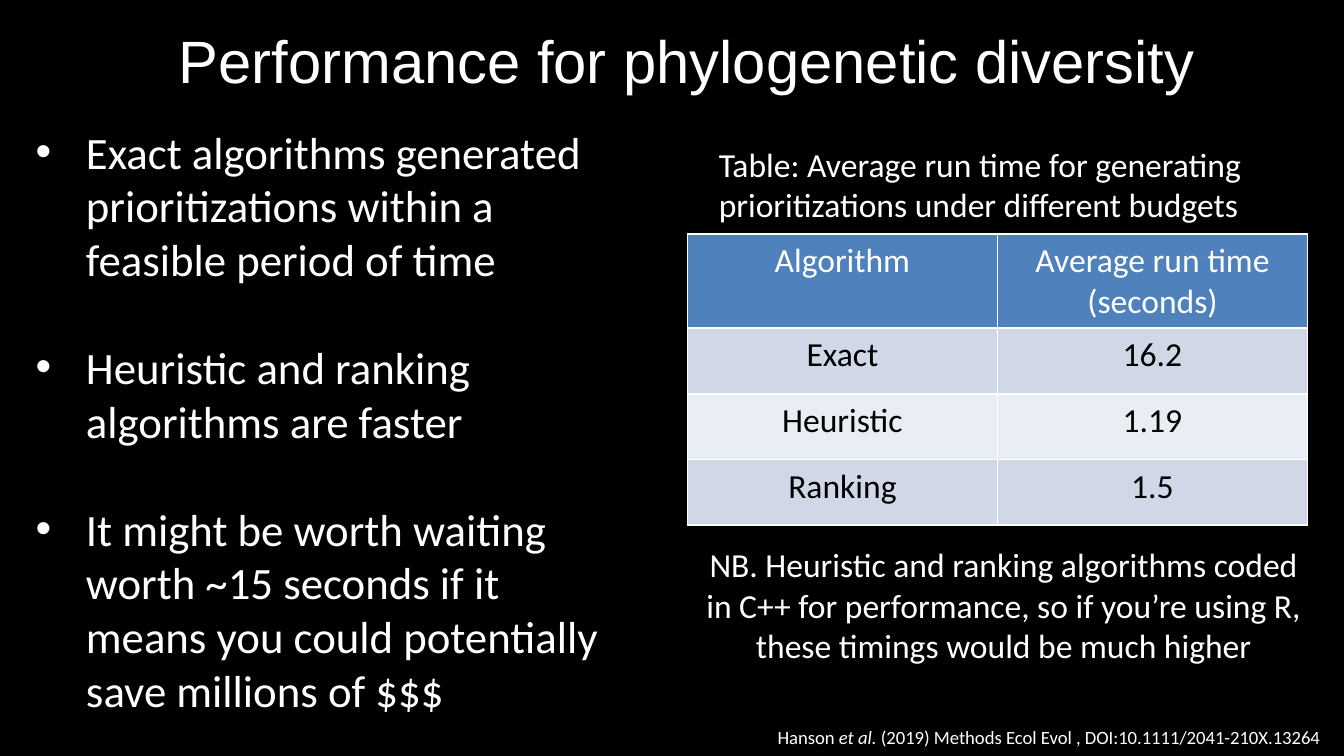
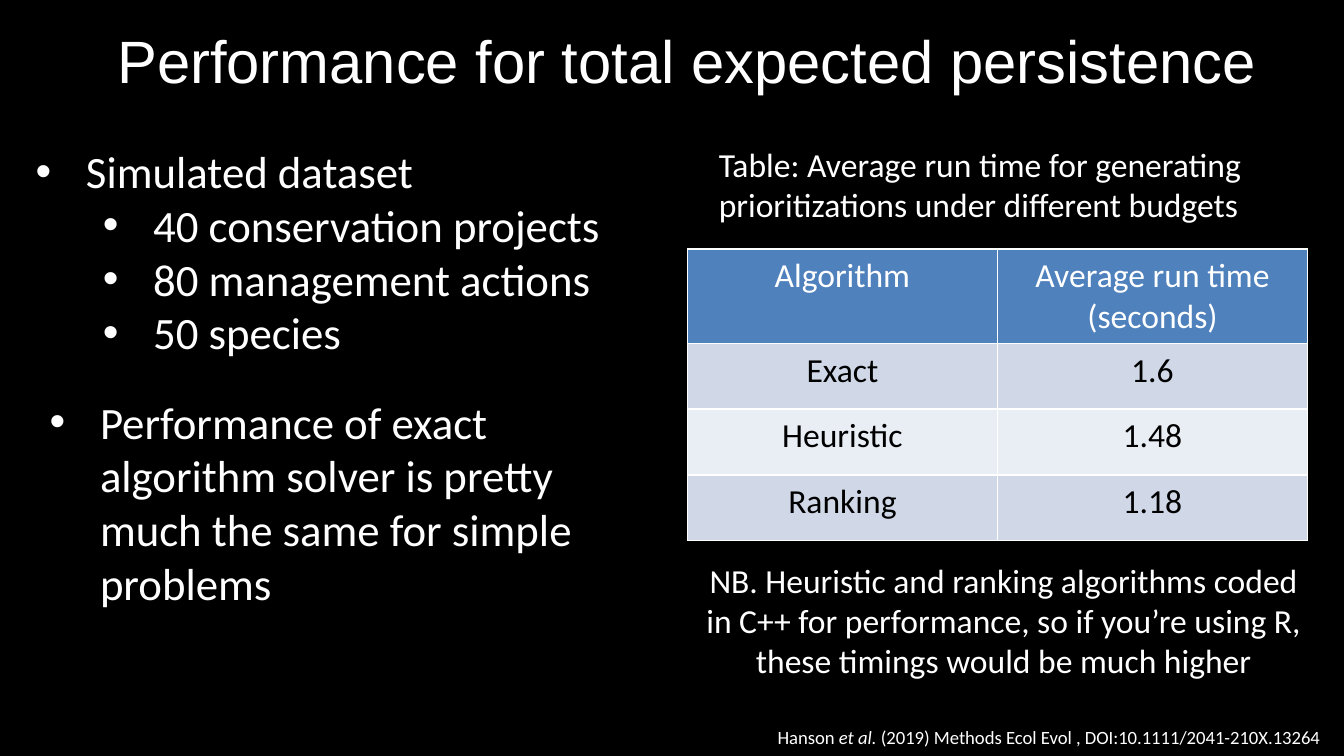
from pptx import Presentation
from pptx import util as u
from pptx.dml.color import RGBColor
from pptx.enum import text
from pptx.oxml import parse_xml
from pptx.oxml.ns import nsdecls

PX = 9525  # EMU per px, 96 px to the inch
BLACK, WHITE, BLUE = "000000", "FFFFFF", "4F81BD"
BANDS = ["D0D8E8", "E9EDF4"]
CAPTION = "Table: Average run time for generating prioritizations under different budgets"
NOTE = ("NB. Heuristic and ranking algorithms coded in C++ for performance, "
        "so if you’re using R, these timings would be much higher")
CITATION = [("Hanson ", False), ("et al.", True),
            (" (2019) Methods Ecol Evol , DOI:10.1111/2041-210X.13264", False)]
HEADER = ("Algorithm", "Average run time (seconds)")


def px(length):
    return u.Emu(length * PX)


def color(value):
    return RGBColor.from_string(value)


class Talk:
    """Holds the deck, its style and the current page."""

    def __init__(self):
        self.deck = Presentation()
        self.deck.slide_width, self.deck.slide_height = px(960), px(540)

    def new_page(self):
        self.page = self.deck.slides.add_slide(self.deck.slide_layouts[6])
        fill = self.page.background.fill
        fill.solid()
        fill.fore_color.rgb = color(BLACK)

    def style(self, para, size, ink=WHITE, face="Calibri", centered=False):
        para.font.size, para.font.name = u.Pt(size), face
        para.font.color.rgb = color(ink)
        para.font.bold = False
        para.alignment = text.PP_ALIGN.CENTER if centered else text.PP_ALIGN.LEFT

    def frame(self, left, top, width, height, wrap=True):
        box = self.page.shapes.add_textbox(px(left), px(top), px(width), px(height))
        box.text_frame.word_wrap = wrap
        return box.text_frame

    def words(self, place, content, size, wrap=True, **look):
        para = self.frame(*place, wrap=wrap).paragraphs[0]
        para.text = content
        self.style(para, size, **look)

    def title(self, content):
        self.words((56, 12, 870, 68), content, 32, wrap=False, face="Arial", centered=True)

    def bullets(self, place, items, gap=0):
        """Items are (level, wording) pairs."""
        frame = self.frame(*place)
        for index, (level, content) in enumerate(items):
            para = frame.add_paragraph() if index else frame.paragraphs[0]
            para.text, para.level = content, level
            if index and gap:
                para.space_before = u.Pt(gap)
            props = para._p.get_or_add_pPr()
            props.set("marL", str(px(36 + 48 * level)))
            props.set("indent", str(px(-36)))
            props.append(parse_xml(f'<a:buFont {nsdecls("a")} typeface="Arial"/>'))
            props.append(parse_xml(f'<a:buChar {nsdecls("a")} char="•"/>'))
            self.style(para, 24)

    def borders(self, cell):
        props = cell._tc.get_or_add_tcPr()
        for index, side in enumerate("LRTB"):
            props.insert(index, parse_xml(
                f'<a:ln{side} {nsdecls("a")} w="{u.Pt(1)}"><a:solidFill>'
                f'<a:srgbClr val="{WHITE}"/></a:solidFill></a:ln{side}>'))

    def run_times(self, top, times):
        rows = [HEADER, *zip(("Exact", "Heuristic", "Ranking"), times)]
        table = self.page.shapes.add_table(
            len(rows), 2, px(491), px(top), px(443), px(207)).table
        for column in table.columns:
            column.width = u.Emu(px(443) // 2)
        for r, row in enumerate(rows):
            table.rows[r].height = px(47 if r else 66)
            for c, content in enumerate(row):
                cell = table.cell(r, c)
                cell.fill.solid()
                cell.fill.fore_color.rgb = color(BANDS[(r - 1) % 2] if r else BLUE)
                self.borders(cell)
                para = cell.text_frame.paragraphs[0]
                para.text = content
                self.style(para, 18, BLACK if r else WHITE, centered=True)

    def citation(self):
        para = self.frame(546, 514, 414, 26, wrap=False).paragraphs[0]
        for content, italic in CITATION:
            span = para.add_run()
            span.text, span.font.italic = content, italic
        self.style(para, 10)

    def results(self, title, table_top, times):
        """Everything the two pages share."""
        self.new_page()
        self.title(title)
        self.words((504, 98, 418, 68), CAPTION, 18)
        self.run_times(table_top, times)
        self.words((491, table_top + 217, 452, 97), NOTE, 18, centered=True)
        self.citation()


def main():
    talk = Talk()

    # Phylogenetic diversity
    talk.results("Performance for phylogenetic diversity", 167, ("16.2", "1.19", "1.5"))
    talk.bullets((16, 84, 427, 436), [
        (0, "Exact algorithms generated prioritizations within a feasible period of time"),
        (0, "Heuristic and ranking algorithms are faster"),
        (0, "It might be worth waiting worth ~15 seconds if it means "
            "you could potentially save millions of $$$"),
    ], gap=29)

    # Total expected persistence
    talk.results("Performance for total expected persistence", 178, ("1.6", "1.48", "1.18"))
    talk.bullets((16, 98, 427, 165), [
        (0, "Simulated dataset"),
        (1, "40 conservation projects"),
        (1, "80 management actions"),
        (1, "50 species"),
    ])
    talk.bullets((26, 277, 427, 165), [
        (0, "Performance of exact algorithm solver is pretty much the same for simple problems"),
    ])

    talk.deck.save("out.pptx")


if __name__ == "__main__":
    main()
